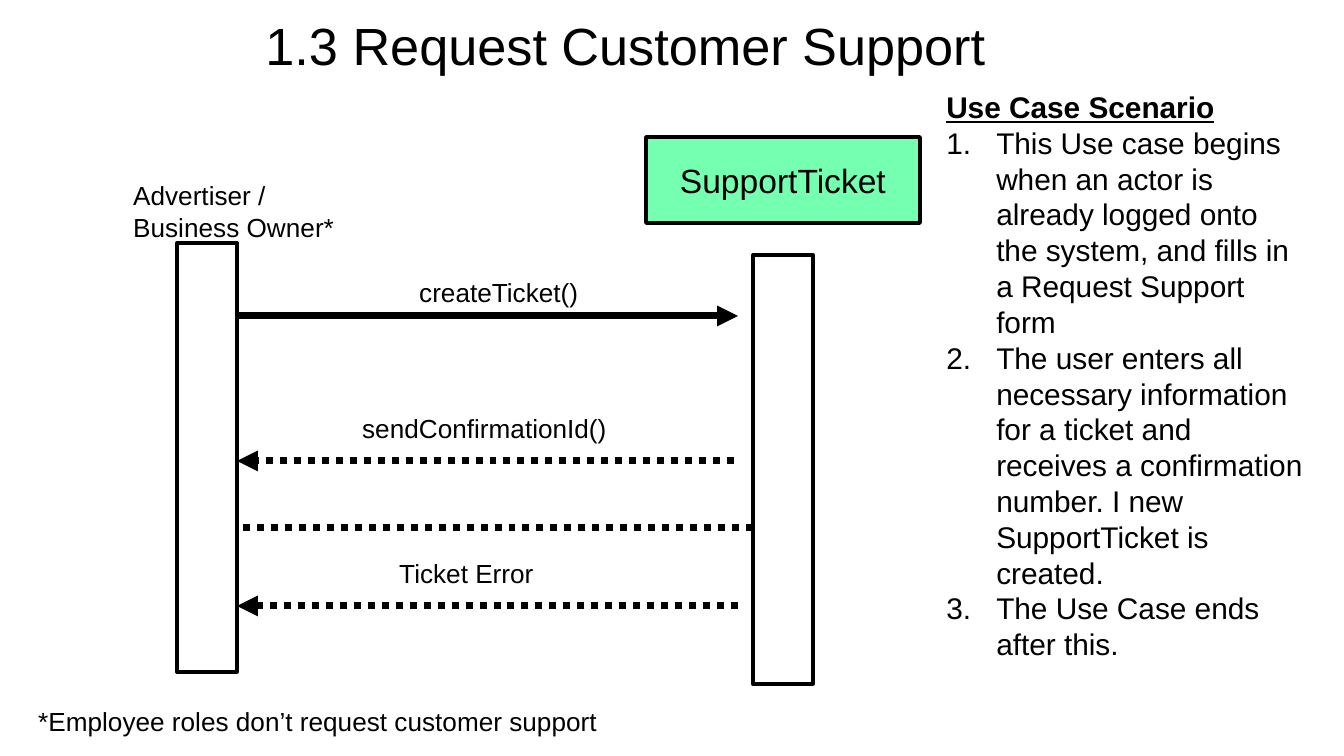
import pptx
import pptx.util
import pptx.dml.color
import pptx.enum.dml
import pptx.enum.shapes
import pptx.enum.text
import pptx.oxml
import pptx.oxml.ns
from lxml import etree

PX = 914400 / 134.4
FONT = "Arial"
COLORS = {"ink": "000000", "ticket": "75FFB0"}
ALIGN = pptx.enum.text.PP_ALIGN
ANCHOR = pptx.enum.text.MSO_ANCHOR
qn = pptx.oxml.ns.qn


def px(n):
    """Turn pixels into EMU."""
    return pptx.util.Emu(round(n * PX))


def rgb(name):
    """Look up a named colour."""
    return pptx.dml.color.RGBColor.from_string(COLORS[name])


def add_run(p, text, size, bold=False, underline=False):
    """Append a formatted run to a paragraph."""
    r = p.add_run()
    r.text = text
    r.font.name = FONT
    r.font.size = pptx.util.Pt(size)
    r.font.bold = bold
    r.font.underline = underline
    r.font.color.rgb = rgb("ink")


def add_text(slide, x, y, w, h, text, size=14, align=ALIGN.LEFT):
    """Add a wrapping text box with one paragraph."""
    sp = slide.shapes.add_textbox(px(x), px(y), px(w), px(h))
    tf = sp.text_frame
    tf.word_wrap = True
    p = tf.paragraphs[0]
    p.alignment = align
    add_run(p, text, size)


def add_box(slide, x, y, w, h, fill=None):
    """Add an outlined rectangle, filled when a colour is named."""
    sp = slide.shapes.add_shape(
        pptx.enum.shapes.MSO_SHAPE.RECTANGLE, px(x), px(y), px(w), px(h))
    sp.shadow.inherit = False
    sp.line.color.rgb = rgb("ink")
    sp.line.width = pptx.util.Pt(2)
    if fill:
        sp.fill.solid()
        sp.fill.fore_color.rgb = rgb(fill)
    else:
        sp.fill.background()
    return sp


def add_message(slide, x1, x2, y, dotted=True, arrow=True):
    """Add a horizontal message line between two lifelines."""
    c = slide.shapes.add_connector(
        pptx.enum.shapes.MSO_CONNECTOR.STRAIGHT, px(x1), px(y), px(x2), px(y))
    c.line.color.rgb = rgb("ink")
    c.line.width = pptx.util.Pt(3.75)
    if dotted:
        c.line.dash_style = pptx.enum.dml.MSO_LINE.ROUND_DOT
    if arrow:
        etree.SubElement(c.line._get_or_add_ln(), qn("a:tailEnd"), type="triangle")
    etree.SubElement(c._element.spPr, qn("a:effectLst"))


def add_title(slide, x, y, w, h, text):
    """Move and fill the title placeholder."""
    sp = slide.shapes.title
    sp.left, sp.top, sp.width, sp.height = px(x), px(y), px(w), px(h)
    tf = sp.text_frame
    tf.auto_size = pptx.enum.text.MSO_AUTO_SIZE.NONE
    tf.vertical_anchor = ANCHOR.TOP
    p = tf.paragraphs[0]
    p.alignment = ALIGN.LEFT
    add_run(p, text, 28)


def add_scenario(slide, x, y, w, h, heading, steps):
    """Add an underlined heading with numbered steps below it."""
    sp = slide.shapes.add_textbox(px(x), px(y), px(w), px(h))
    tf = sp.text_frame
    tf.word_wrap = True
    add_run(tf.paragraphs[0], heading, 16, bold=True, underline=True)
    for step in steps:
        p = tf.add_paragraph()
        add_run(p, step, 16)
        pPr = p._p.get_or_add_pPr()
        pPr.set("marL", str(px(50)))
        pPr.set("indent", str(-px(50)))
        etree.SubElement(pPr, qn("a:buFont"), typeface=FONT)
        etree.SubElement(pPr, qn("a:buAutoNum"), type="arabicPeriod")


def add_sequence(slide, x, y):
    """Add the lifelines, participants and messages of the diagram."""
    for dx, dy in ((633, 118), (57, 106)):
        add_box(slide, x + dx, y + dy, 60, 429)
    sp = add_box(slide, x + 526, y, 274, 86, "ticket")
    tf = sp.text_frame
    tf.vertical_anchor = ANCHOR.MIDDLE
    tf.paragraphs[0].alignment = ALIGN.CENTER
    add_run(tf.paragraphs[0], "SupportTicket", 18)
    add_text(slide, x, y + 36, 242, 77, "Advertiser / Business Owner*")

    actor = x + 117
    add_message(slide, actor, x + 618, y + 179, dotted=False)
    add_message(slide, x + 614, actor, y + 324)
    add_message(slide, x + 633, actor, y + 391, arrow=False)
    add_message(slide, x + 618, actor, y + 469)

    labels = (
        (286, 133, 242, "createTicket()", ALIGN.LEFT),
        (188, 269, 353, "sendConfirmationId()", ALIGN.CENTER),
        (221, 414, 251, "Ticket Error", ALIGN.CENTER),
    )
    for dx, dy, w, text, align in labels:
        add_text(slide, x + dx, y + dy, w, 46, text, align=align)


def main():
    """Build and save the slide."""
    prs = pptx.Presentation()
    prs.slide_width, prs.slide_height = px(1344), px(756)
    slide = prs.slides.add_slide(prs.slide_layouts[5])
    add_title(slide, 252, 7, 756, 77, "1.3 Request Customer Support")
    add_scenario(slide, 933, 82, 384, 593, "Use Case Scenario", (
        "This Use case begins when an actor is already logged onto the system, "
        "and fills in a Request Support form",
        "The user enters all necessary information for a ticket and receives a "
        "confirmation number. I new SupportTicket is created.",
        "The Use Case ends after this.",
    ))
    add_sequence(slide, 120, 137)
    add_text(slide, 25, 699, 634, 46,
             "*Employee roles don\u2019t request customer support")
    prs.save("out.pptx")


main()
